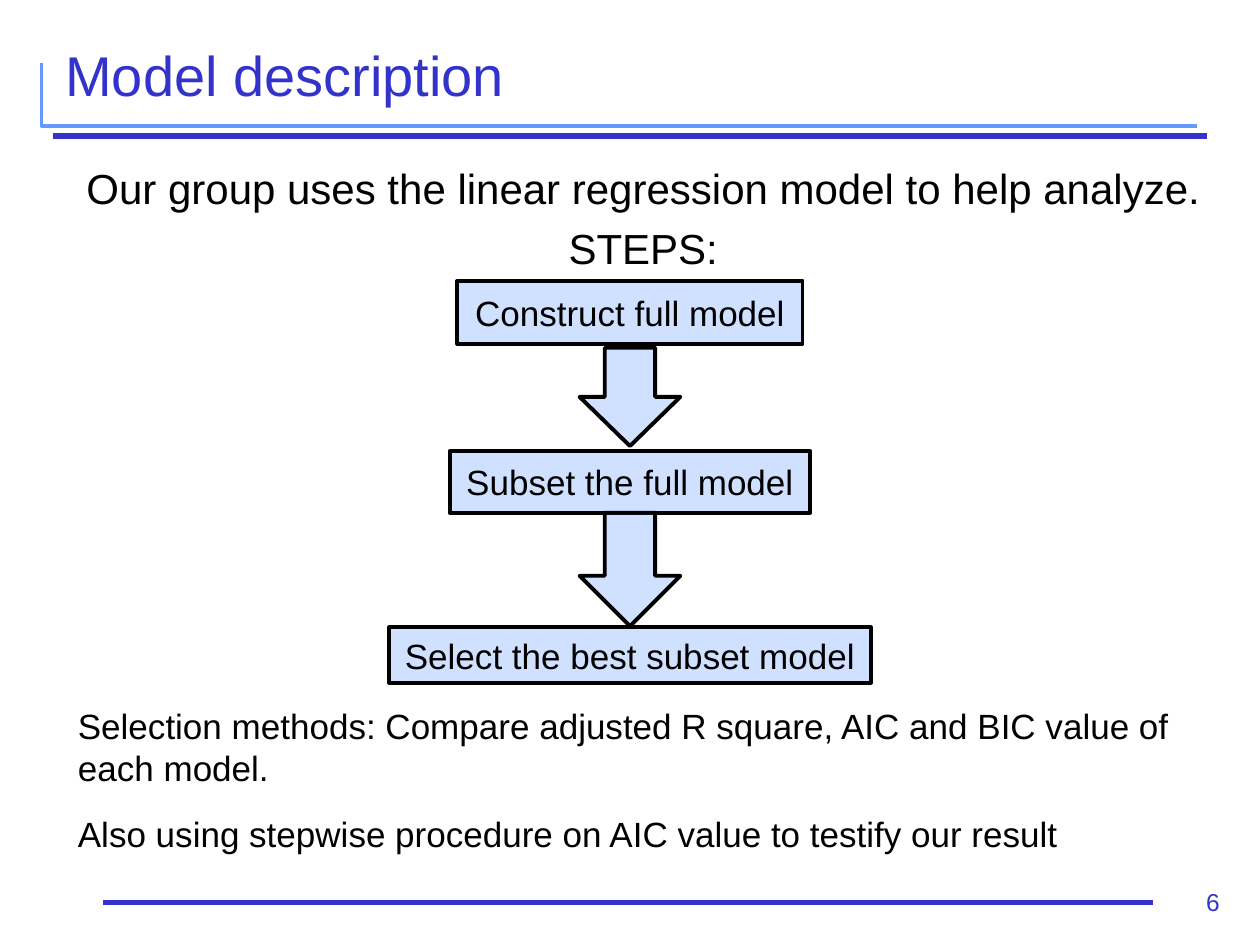
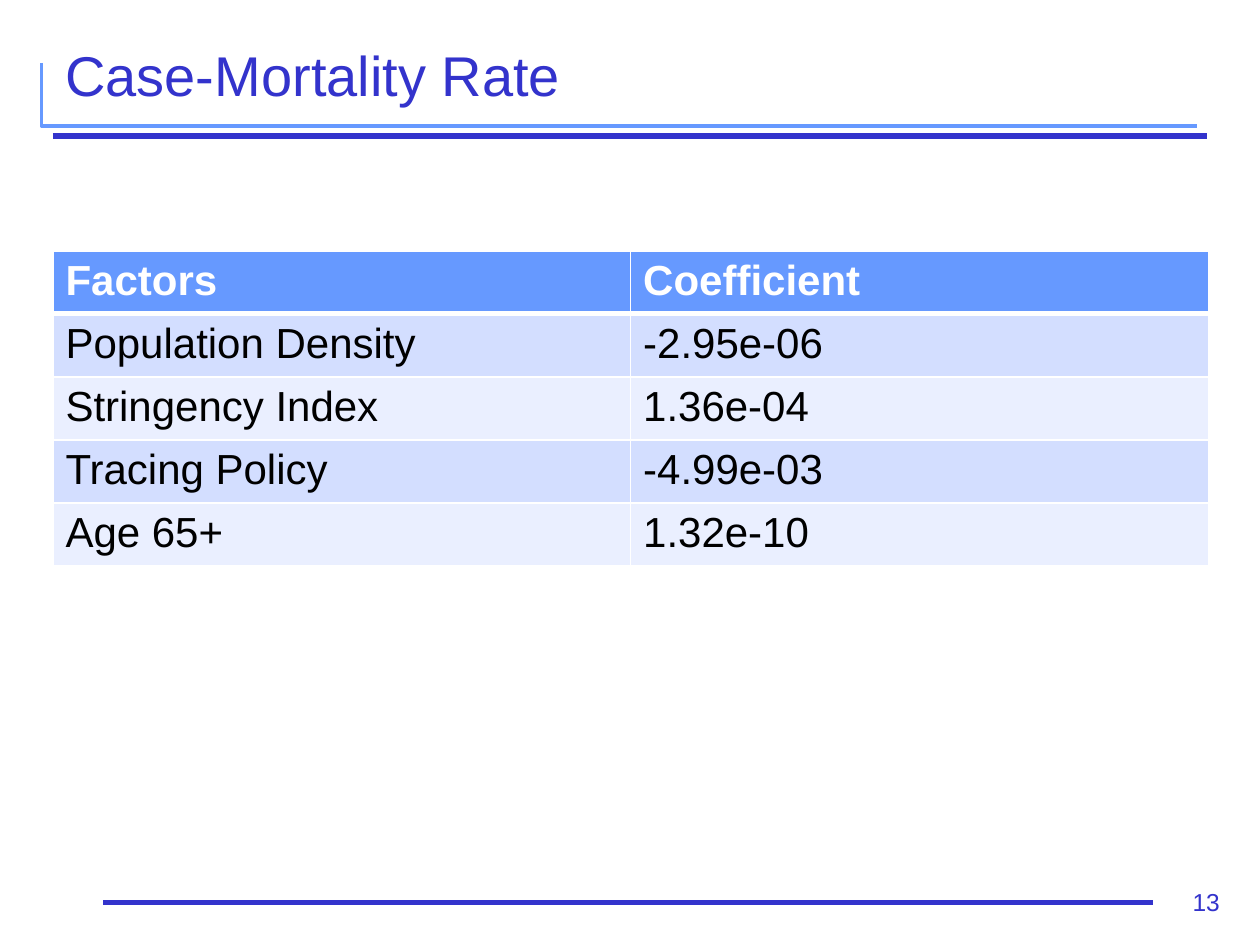
"""Build two slides on a regression model: its steps and its coefficients."""
from lxml import etree
from pptx import Presentation
from pptx import util as u
from pptx.dml import color
from pptx.enum import shapes, text
from pptx.oxml import ns

BLUE, SKY, BLACK, WHITE = "3333CC", "6699FF", "000000", "FFFFFF"
HEADER_FILL, ROW_FILLS = SKY, ["D3DEFF", "EAEFFF"]
LEFT, CENTER, RIGHT = text.PP_ALIGN.LEFT, text.PP_ALIGN.CENTER, text.PP_ALIGN.RIGHT
TITLE = {"size": u.Pt(32), "name": "Arial"}
BODY = {"size": u.Pt(24), "name": "Arial"}
STEP = {"size": u.Pt(20), "name": "Arial"}
NUMBER = {"size": u.Pt(14), "name": "Arial"}


def paint(target, hex_color):
    """Give a fill or a font a solid colour."""
    if hasattr(target, "solid"):
        target.solid()
        target.fore_color.rgb = color.RGBColor.from_string(hex_color)
    else:
        target.color.rgb = color.RGBColor.from_string(hex_color)


def write(frame, lines, font, hex_color, align=LEFT, anchor=text.MSO_ANCHOR.TOP, bold=False):
    """Fill a text frame with one paragraph for each line."""
    frame.word_wrap = True
    frame.vertical_anchor = anchor
    for index, line in enumerate(lines):
        para = frame.add_paragraph() if index else frame.paragraphs[0]
        para.alignment = align
        para.space_before = u.Pt(5.5 if index else 0)
        span = para.add_run()
        span.text = line
        for name, value in {**font, "bold": bold}.items():
            setattr(span.font, name, value)
        paint(span.font, hex_color)


deck = Presentation()
deck.slide_width, deck.slide_height = u.Inches(10), u.Inches(7.5)

pages = []
for title, number in [("Model description", "6"), ("Case-Mortality Rate", "13")]:
    page = deck.slides.add_slide(deck.slide_layouts[6])
    pages.append(page)

    builder = page.shapes.build_freeform(u.Inches(0.33), u.Inches(0.5))
    corner = [(u.Inches(x), u.Inches(y)) for x, y in [(0.33, 1), (9.5, 1)]]
    builder.add_line_segments(corner, close=False)
    bracket = builder.convert_to_shape()
    bracket.shadow.inherit = False
    bracket.fill.background()
    bracket.line.width = u.Pt(2)
    paint(bracket.line.fill, SKY)

    for start, end, y in [(0.42, 9.58, 1.08), (0.82, 9.15, 7.16)]:
        rule = page.shapes.add_connector(
            shapes.MSO_CONNECTOR.STRAIGHT,
            u.Inches(start), u.Inches(y), u.Inches(end), u.Inches(y))
        rule.line.width = u.Pt(3)
        paint(rule.line.fill, BLUE)
        etree.SubElement(rule._element.spPr, ns.qn("a:effectLst"))

    box = page.shapes.add_textbox(*map(u.Inches, (9.18, 6.99, 0.6, 0.33)))
    write(box.text_frame, [number], NUMBER, BLUE, RIGHT)
    box = page.shapes.add_textbox(*map(u.Inches, (0.42, 0.26, 9.17, 0.66)))
    write(box.text_frame, [title], TITLE, BLUE, anchor=text.MSO_ANCHOR.MIDDLE)

model_page, rate_page = pages

box = model_page.shapes.add_textbox(*map(u.Inches, (0.52, 1.24, 9.17, 1)))
intro = ["Our group uses the linear regression model to help analyze.", "STEPS:"]
write(box.text_frame, intro, BODY, BLACK, CENTER)

RECT, ARROW = shapes.MSO_SHAPE.RECTANGLE, shapes.MSO_SHAPE.DOWN_ARROW
flow = [
    (RECT, 2.23, 2.74, 0.5, "Construct full model"),
    (ARROW, 2.76, 0.8, 0.78, ""),
    (RECT, 4.98, 3.82, 0.44, "Select the best subset model"),
    (RECT, 3.58, 2.86, 0.49, "Subset the full model"),
    (ARROW, 4.07, 0.8, 0.9, ""),
]
for kind, top, width, height, label in flow:
    step = model_page.shapes.add_shape(
        kind, *map(u.Inches, (5 - width / 2, top, width, height)))
    step.shadow.inherit = False
    paint(step.fill, SKY)
    tint = step._element.spPr.find(ns.qn("a:solidFill"))[0]
    etree.SubElement(tint, ns.qn("a:alpha"), val="30000")
    step.line.width = u.Pt(2.25)
    paint(step.line.fill, BLACK)
    if label:
        write(step.text_frame, [label], STEP, BLACK, CENTER, text.MSO_ANCHOR.MIDDLE)

notes = [
    (5.54, 0.77, "Selection methods: Compare adjusted R square, AIC and BIC value of each model."),
    (6.4, 0.44, "Also using stepwise procedure on AIC value to testify our result"),
]
for top, height, note in notes:
    box = model_page.shapes.add_textbox(*map(u.Inches, (0.52, top, 9.17, height)))
    write(box.text_frame, [note], STEP, BLACK)

factors = [
    ("Factors", "Coefficient"),
    ("Population Density", "-2.95e-06"),
    ("Stringency Index", "1.36e-04"),
    ("Tracing Policy", "-4.99e-03"),
    ("Age 65+", "1.32e-10"),
]
table = rate_page.shapes.add_table(
    len(factors), 2, *map(u.Inches, (0.42, 1.99, 9.17, 2.36))).table
for row, values in enumerate(factors):
    header = row == 0
    for column, value in enumerate(values):
        cell = table.cell(row, column)
        write(cell.text_frame, [value], BODY, WHITE if header else BLACK, bold=header)
        paint(cell.fill, HEADER_FILL if header else ROW_FILLS[(row - 1) % 2])
        thick_sides = {0: "lnB", 1: "lnT"}
        for index, side in enumerate(["lnL", "lnR", "lnT", "lnB"]):
            points = 3 if thick_sides.get(row) == side else 1
            border = etree.Element(ns.qn("a:" + side), w=str(u.Pt(points)))
            fill = etree.SubElement(border, ns.qn("a:solidFill"))
            etree.SubElement(fill, ns.qn("a:srgbClr"), val=WHITE)
            cell._tc.tcPr.insert(index, border)

deck.save("out.pptx")
